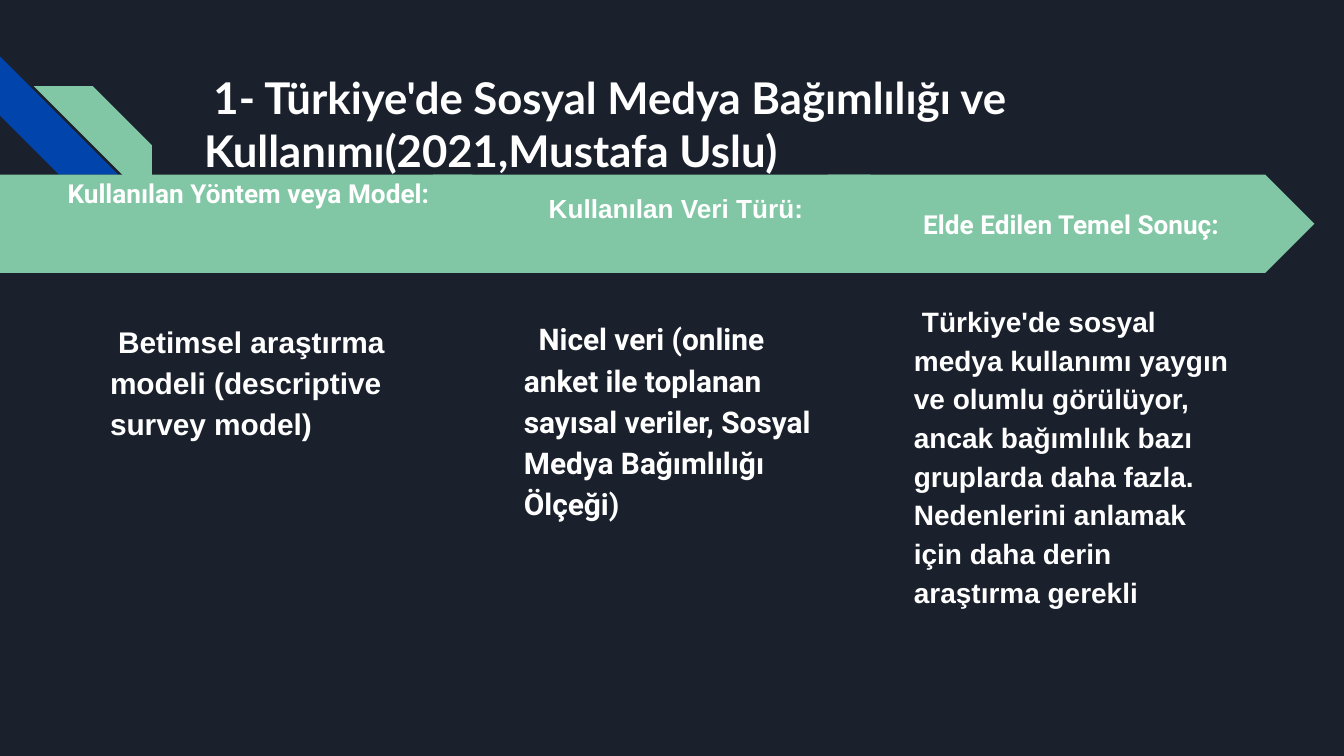
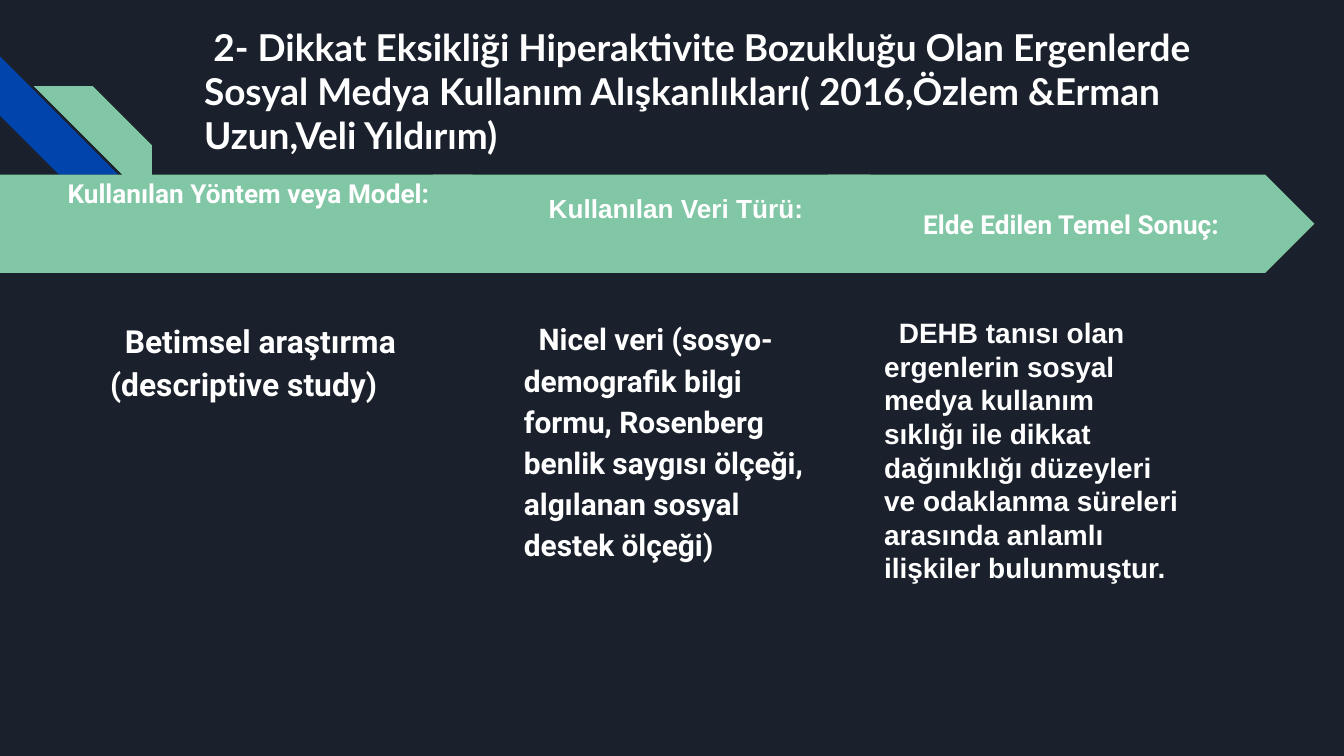
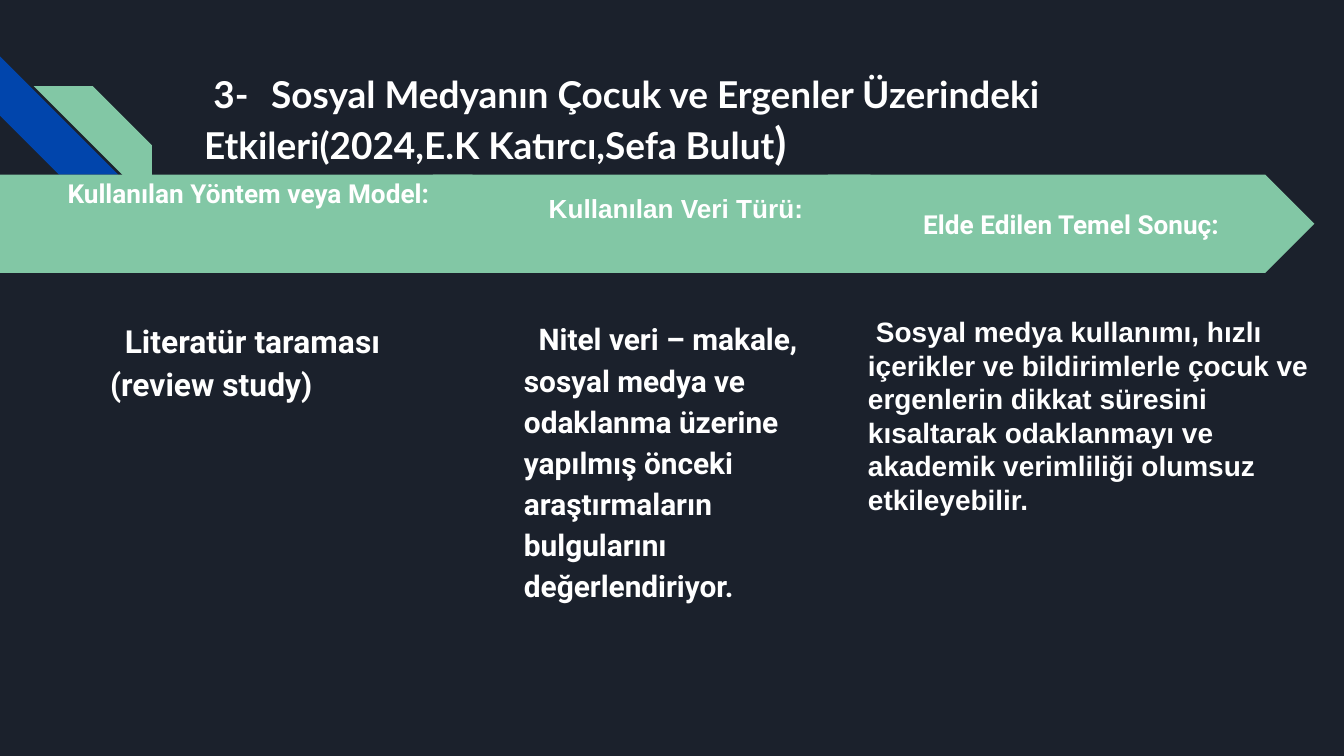
from pptx import Presentation
from pptx.dml.color import RGBColor
from pptx.enum.shapes import MSO_SHAPE as Shape
from pptx.enum.text import MSO_ANCHOR as Anchor, PP_ALIGN as Align
from pptx.oxml.ns import qn
from pptx.util import Inches, Pt
from lxml.etree import SubElement

NAVY, BLUE, GREEN, WHITE = "1B212C", "0145AC", "82C7A5", "FFFFFF"
SLIDE_WIDTH = 10
SLIDE_HEIGHT = SLIDE_WIDTH * 9 / 16
MARGIN = 0.1
BAND_TOP, BAND_HEIGHT = 1.3, 0.73
TITLE_LEFT, TITLE_WIDTH, TITLE_HEIGHT = 1.42, 7.7, 1
BODY_TOP, BODY_WIDTH, BODY_HEIGHT = 2.25, 2.45, 2.86
METHOD_LEFT, DATA_LEFT = 0.72, 3.8
ONE_SPACE, TWO_SPACES = 0.06, 0.11

# shape, left, width, top inset of the label, label, font
HEADERS = [
    (Shape.CHEVRON, 6.16, 3.62, 0.25, "Elde Edilen Temel Sonuç:", "Roboto"),
    (Shape.PENTAGON, 0, 3.88, 0.02, "Kullanılan Yöntem veya Model:", "Roboto"),
    (Shape.CHEVRON, 3.22, 3.62, 0.13, "Kullanılan Veri Türü:", "Arial"),
]

STUDIES = [
    {
        "title": [("1- Türkiye'de Sosyal Medya Bağımlılığı ve "
                   "Kullanımı(2021,Mustafa Uslu)", 23.4)],
        "title_top": 0.43,
        "method": [("Betimsel araştırma modeli (descriptive survey model)", 16)],
        "method_style": {"font": "Arial", "indent": ONE_SPACE,
                         "insets": (MARGIN, 0.12, MARGIN, MARGIN)},
        "data": "Nicel veri (online anket ile toplanan sayısal veriler, "
                "Sosyal Medya Bağımlılığı Ölçeği)",
        "result": "Türkiye'de sosyal medya kullanımı yaygın ve olumlu görülüyor, "
                  "ancak bağımlılık bazı gruplarda daha fazla. Nedenlerini anlamak "
                  "için daha derin araştırma gerekli",
        "result_box": (6.28, 1.3, 3.41, 4.7),
        "result_style": {"indent": ONE_SPACE, "spacing": 1.15,
                         "insets": (0.52, 0.93, 0.52, MARGIN)},
    },
    {
        "title": [("2- Dikkat Eksikliği Hiperaktivite Bozukluğu Olan Ergenlerde "
                   "Sosyal Medya Kullanım Alışkanlıkları( 2016,Özlem &Erman "
                   "Uzun,Veli Yıldırım)", 19.8)],
        "title_top": 0.08,
        "method": [("Betimsel araştırma (descriptive study)", 17)],
        "method_style": {"font": "Roboto", "indent": TWO_SPACES},
        "data": "Nicel veri (sosyo-demografik bilgi formu, Rosenberg benlik saygısı "
                "ölçeği, algılanan sosyal destek ölçeği)",
        "result": "DEHB tanısı olan ergenlerin sosyal medya kullanım sıklığı ile "
                  "dikkat dağınıklığı düzeyleri ve odaklanma süreleri arasında "
                  "anlamlı ilişkiler bulunmuştur.",
        "result_box": (6.48, 2.25, 2.39, 2.96),
        "result_style": {"indent": TWO_SPACES},
    },
    {
        "title": [("3-\tSosyal Medyanın Çocuk ve Ergenler Üzerindeki "
                   "Etkileri(2024,E.K Katırcı,Sefa Bulut", 19.8), (")", 23.4)],
        "title_top": 0.43,
        "method": [("Literatür taraması (review study)", 17)],
        "method_style": {"font": "Roboto", "indent": TWO_SPACES},
        "data": "Nitel veri – makale, sosyal medya ve odaklanma üzerine yapılmış "
                "önceki araştırmaların bulgularını değerlendiriyor.",
        "result": "Sosyal medya kullanımı, hızlı içerikler ve bildirimlerle çocuk "
                  "ve ergenlerin dikkat süresini kısaltarak odaklanmayı ve akademik "
                  "verimliliği olumsuz etkileyebilir.",
        "result_box": (6.36, 2.24, 3.5, 2.46),
        "result_style": {"indent": ONE_SPACE},
    },
]


def paint(fill, color):
    fill.solid()
    fill.fore_color.rgb = RGBColor.from_string(color)


def write(shape, runs, font, align=Align.LEFT, indent=0, spacing=1.0, tab=None,
          insets=(MARGIN,) * 4):
    """Fill a shape with one bold white paragraph of (text, size) runs."""
    frame = shape.text_frame
    frame.word_wrap = True
    frame.vertical_anchor = Anchor.TOP
    for side, inset in zip(("left", "top", "right", "bottom"), insets):
        setattr(frame, f"margin_{side}", Inches(inset))
    paragraph = frame.paragraphs[0]
    paragraph.alignment = align
    paragraph.line_spacing = spacing
    properties = paragraph._p.get_or_add_pPr()
    properties.set("indent", str(Inches(indent)))
    if tab:
        tabs = SubElement(properties, qn("a:tabLst"))
        SubElement(tabs, qn("a:tab"), pos=str(Inches(tab)), algn="l")
    for text, size in runs:
        run = paragraph.add_run()
        run.text = text
        for name, value in {"name": font, "size": Pt(size), "bold": True}.items():
            setattr(run.font, name, value)
        run.font.color.rgb = RGBColor.from_string(WHITE)


def add_text(slide, box, runs, font, **style):
    write(slide.shapes.add_textbox(*map(Inches, box)), runs, font, **style)


def add_filled(slide, kind, box, color):
    shape = slide.shapes.add_shape(kind, *map(Inches, box))
    shape.shadow.inherit = False
    paint(shape.fill, color)
    shape.line.fill.background()
    return shape


def add_stripes(slide):
    blue = add_filled(slide, Shape.DIAGONAL_STRIPE, (0, 0.42, 0.88, 0.88), BLUE)
    blue.rotation = 270
    green = add_filled(slide, Shape.DIAGONAL_STRIPE, (0.25, 0.64, 0.88, 0.88), GREEN)
    green.element.spPr.find(qn("a:xfrm")).set("flipH", "1")


def add_headers(slide):
    for kind, left, width, top_inset, label, font in HEADERS:
        header = add_filled(slide, kind, (left, BAND_TOP, width, BAND_HEIGHT), GREEN)
        write(header, [(label, 14)], font, align=Align.CENTER,
              insets=(MARGIN, top_inset, MARGIN, 0))


def add_study(slide, study):
    add_stripes(slide)
    add_text(slide, (TITLE_LEFT, study["title_top"], TITLE_WIDTH, TITLE_HEIGHT),
             study["title"], "Lato", indent=0.07, tab=0.53 + 0.03)
    add_headers(slide)
    columns = [
        (METHOD_LEFT, study["method"], study["method_style"]),
        (DATA_LEFT, [(study["data"], 16)],
         {"font": "Roboto", "indent": TWO_SPACES}),
    ]
    for left, runs, style in columns:
        add_text(slide, (left, BODY_TOP, BODY_WIDTH, BODY_HEIGHT), runs,
                 spacing=1.15, **style)
    add_text(slide, study["result_box"], [(study["result"], 15)], "Arial",
             **study["result_style"])


def main():
    presentation = Presentation()
    presentation.slide_width = Inches(SLIDE_WIDTH)
    presentation.slide_height = Inches(SLIDE_HEIGHT)
    paint(presentation.slide_master.background.fill, NAVY)
    blank = presentation.slide_layouts[6]
    for study in STUDIES:
        add_study(presentation.slides.add_slide(blank), study)
    presentation.save("out.pptx")


if __name__ == "__main__":
    main()
